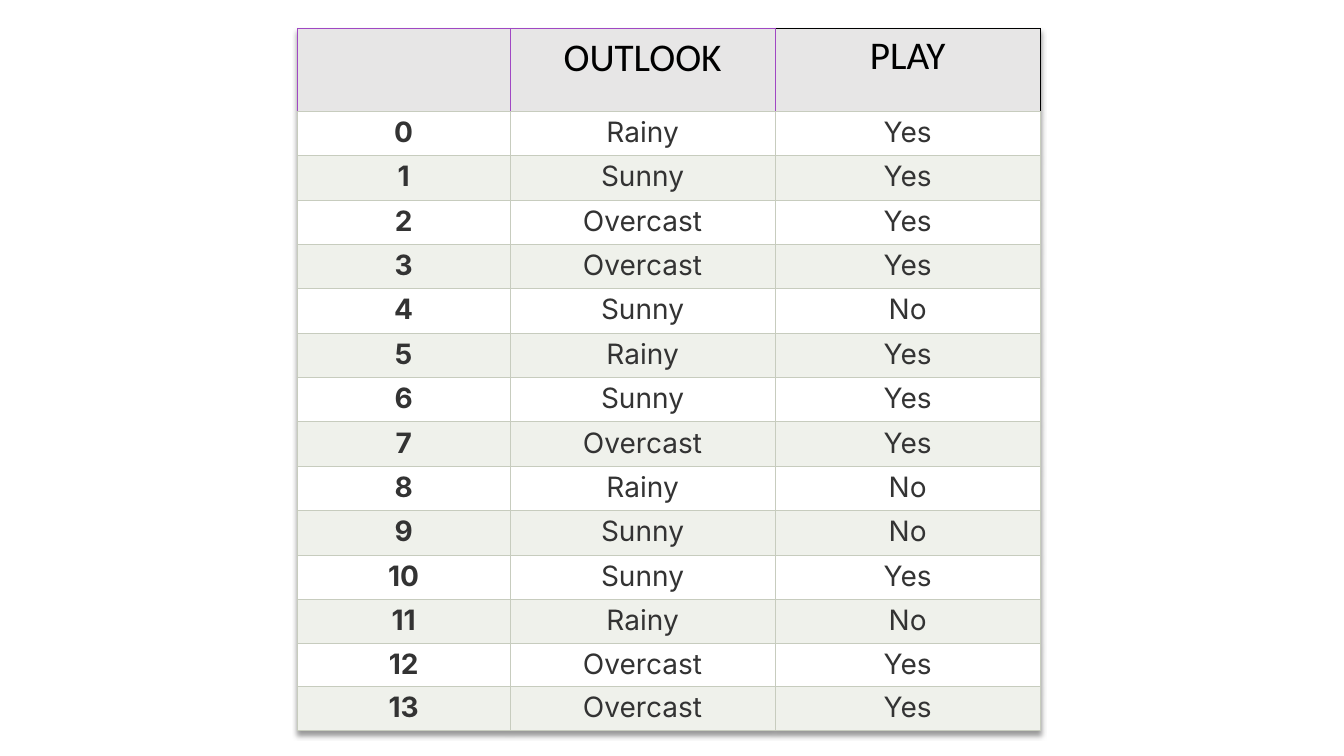
from lxml import etree
from pptx import Presentation
from pptx.dml.color import RGBColor
from pptx.enum import text
from pptx.oxml import ns
from pptx.util import Pt

BLACK = RGBColor(0x00, 0x00, 0x00)
WHITE = RGBColor(0xFF, 0xFF, 0xFF)
INK = RGBColor(0x33, 0x33, 0x33)
HEADER_GREY = RGBColor(0xE7, 0xE6, 0xE6)
BAND_GREEN = RGBColor(0xEF, 0xF1, 0xEB)
RULE_GREEN = RGBColor(0xC7, 0xCC, 0xBE)
PURPLE = RGBColor(0xA0, 0x48, 0xC3)

HEADINGS = ["", "OUTLOOK", "PLAY"]
DAYS = [
    ("Rainy", "Yes"), ("Sunny", "Yes"), ("Overcast", "Yes"), ("Overcast", "Yes"),
    ("Sunny", "No"), ("Rainy", "Yes"), ("Sunny", "Yes"), ("Overcast", "Yes"),
    ("Rainy", "No"), ("Sunny", "No"), ("Sunny", "Yes"), ("Rainy", "No"),
    ("Overcast", "Yes"), ("Overcast", "Yes"),
]
COLUMN_WIDTHS = [151.9, 189.4, 189.4]
HEADER_HEIGHT, ROW_HEIGHT, SHORT_ROW_HEIGHT = 59.2, 31.7, 30.3
ROW_HEIGHTS = [HEADER_HEIGHT] + [ROW_HEIGHT] * 12 + [SHORT_ROW_HEIGHT, ROW_HEIGHT]
HEADER_INSETS = [(7.2, 3.6), (4.3, 4.3), (5, 2.9)]
BODY_INSETS = (2.9, 2.9)


class PageBuilder:
    """Holds the style and the current slide."""

    def __init__(self, page):
        self.page = page
        self.header_font, self.header_size = "Calibri", 28
        self.body_font, self.body_size = "Inter", 20
        self.line_width = 0.5

    def table(self, left, top, widths, heights):
        frame = self.page.shapes.add_table(
            len(heights), len(widths), Pt(left), Pt(top),
            Pt(sum(widths)), Pt(sum(heights)))
        table = frame.table
        for column, width in zip(table.columns, widths):
            column.width = Pt(width)
        for row, height in zip(table.rows, heights):
            row.height = Pt(height)
        self.shadow(table)
        return table

    def shadow(self, table):
        effects = etree.Element(ns.qn("a:effectLst"))
        shadow = etree.SubElement(
            effects, ns.qn("a:outerShdw"), blurRad=str(Pt(4)), dist=str(Pt(3)),
            dir="5400000", algn="t", rotWithShape="0")
        color = etree.SubElement(shadow, ns.qn("a:srgbClr"), val=str(BLACK))
        etree.SubElement(color, ns.qn("a:alpha"), val="40000")
        table._tbl.tblPr.insert(0, effects)

    def borders(self, cell, colors):
        properties = cell._tc.get_or_add_tcPr()
        for position, (side, color) in enumerate(zip("LRTB", colors)):
            line = etree.Element(ns.qn("a:ln" + side), w=str(Pt(self.line_width)))
            fill = etree.SubElement(line, ns.qn("a:solidFill"))
            etree.SubElement(fill, ns.qn("a:srgbClr"), val=str(color))
            properties.insert(position, line)

    def cell(self, cell, words, fill, insets, edges, header=False, bold=False):
        cell.fill.solid()
        cell.fill.fore_color.rgb = fill
        self.borders(cell, edges)
        cell.margin_left = cell.margin_right = Pt(insets[0])
        cell.margin_top = cell.margin_bottom = Pt(insets[1])
        cell.vertical_anchor = text.MSO_ANCHOR.TOP
        if not words:
            return
        para = cell.text_frame.paragraphs[0]
        para.alignment = text.PP_ALIGN.CENTER
        span = para.add_run()
        span.text = words
        span.font.name = self.header_font if header else self.body_font
        span.font.size = Pt(self.header_size if header else self.body_size)
        span.font.color.rgb = BLACK if header else INK
        span.font.bold = bold


def main():
    deck = Presentation()
    deck.slide_width, deck.slide_height = Pt(960), Pt(540)
    builder = PageBuilder(deck.slides.add_slide(deck.slide_layouts[6]))
    table = builder.table(212.4, 20.2, COLUMN_WIDTHS, ROW_HEIGHTS)

    # Header row: edges run left, right, top, bottom
    purple_edges = (PURPLE, PURPLE, PURPLE, RULE_GREEN)
    play_edges = (PURPLE, BLACK, BLACK, RULE_GREEN)
    header_edges = [purple_edges, purple_edges, play_edges]
    for column, heading in enumerate(HEADINGS):
        builder.cell(table.cell(0, column), heading, HEADER_GREY,
                     HEADER_INSETS[column], header_edges[column], header=True)

    # Banded body rows
    for number, day in enumerate(DAYS):
        fill = BAND_GREEN if number % 2 else WHITE
        for column, words in enumerate((str(number), *day)):
            builder.cell(table.cell(number + 1, column), words, fill, BODY_INSETS,
                         (RULE_GREEN,) * 4, bold=column == 0)

    deck.save("out.pptx")


if __name__ == "__main__":
    main()
